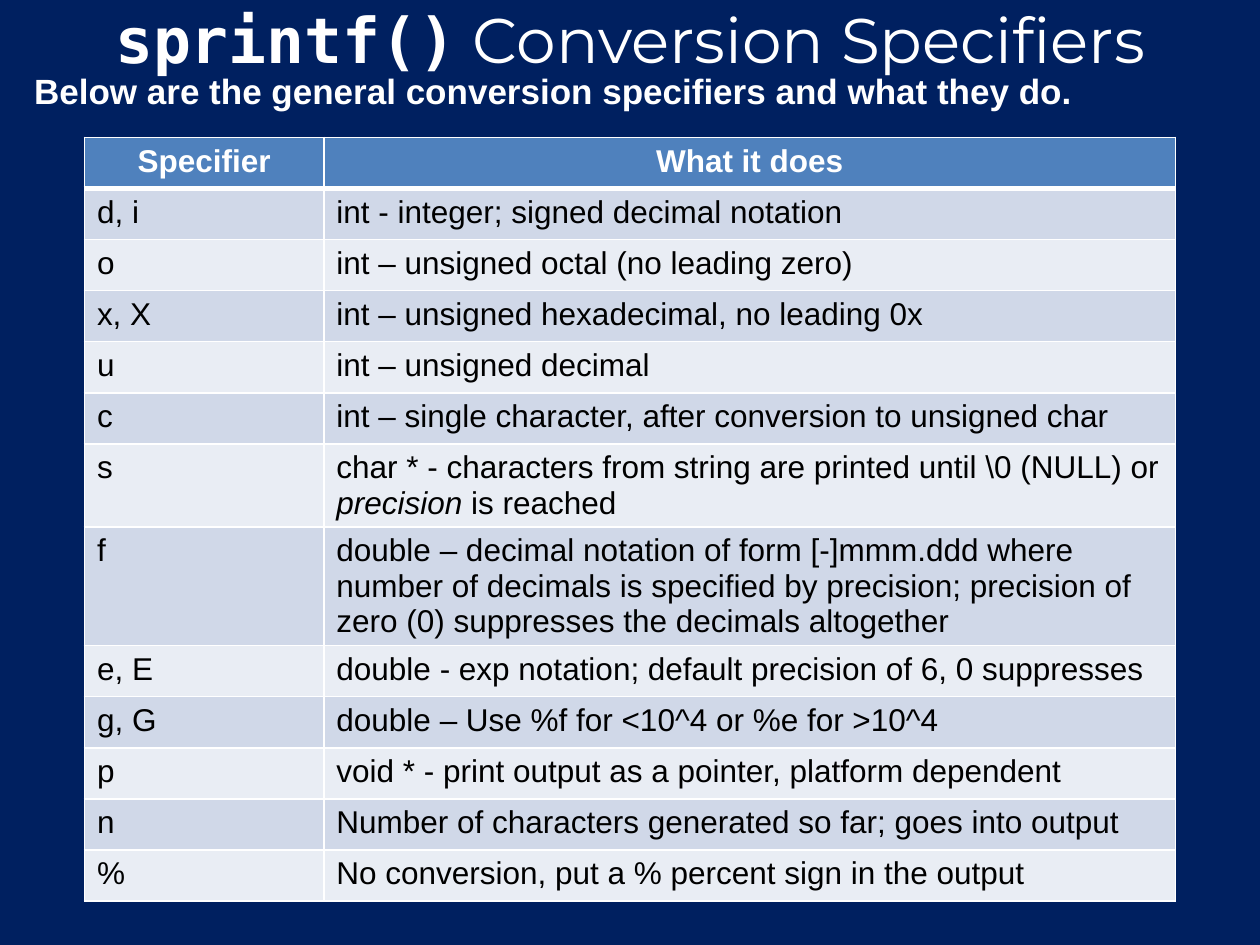
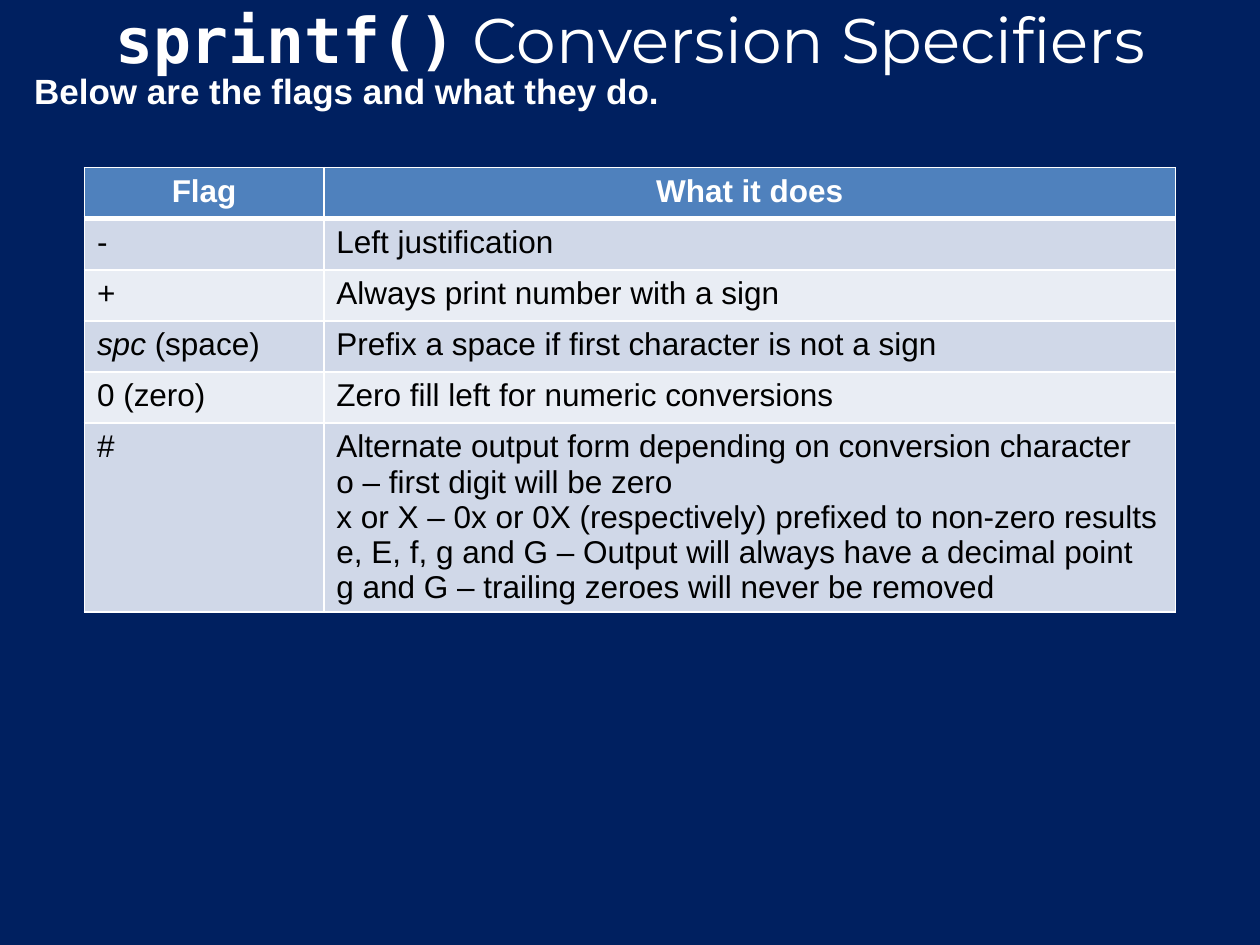
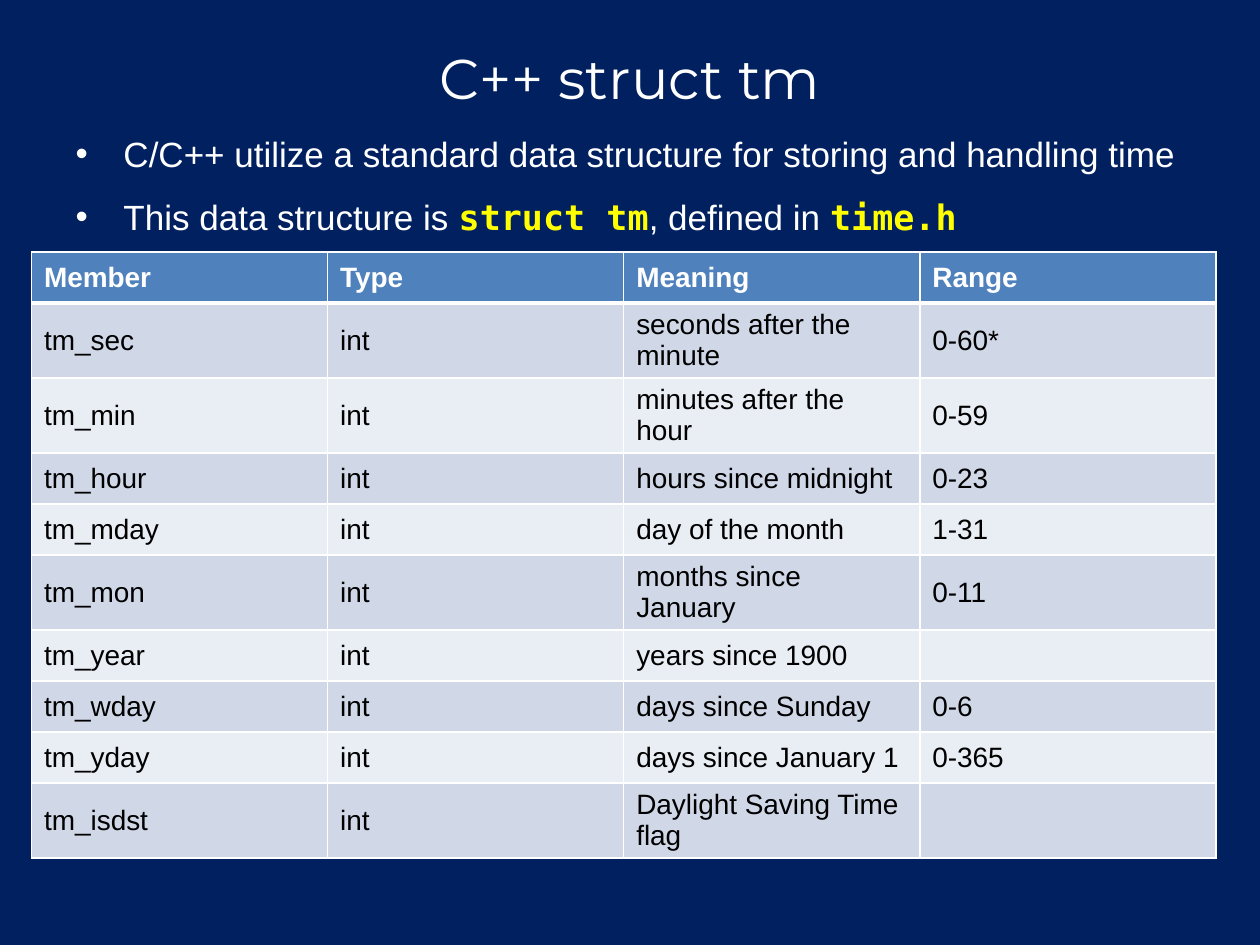
import pptx
import pptx.dml.color
import pptx.enum.text
import pptx.util
from lxml import etree
from pptx.oxml.ns import qn

Inches, Pt = pptx.util.Inches, pptx.util.Pt
ALIGN, ANCHOR = pptx.enum.text.PP_ALIGN, pptx.enum.text.MSO_ANCHOR

# Shared look
COLORS = {"navy": "002060", "white": "FFFFFF", "black": "000000",
          "yellow": "FFFF00", "header": "4F81BD",
          "band_dark": "D0D8E8", "band_light": "E9EDF4"}
HEADING, BODY, MONO = "Montserrat", "Arial", "DejaVu Sans Mono"
STYLES = {"italic": {"italic": True},
          "mono": {"font": MONO, "bold": True},
          "code": {"font": MONO, "bold": True, "color": "yellow"}}
ROW_HEIGHT = Pt(29.2)

# Content: a text is a string or a list of runs; a styled run is (text, style)
SPRINTF_TITLE = [("sprintf()", "mono"), " Conversion Specifiers"]
SPECIFIERS = [
    ("Specifier", "What it does"),
    ("d, i", "int - integer; signed decimal notation"),
    ("o", "int – unsigned octal (no leading zero)"),
    ("x, X", "int – unsigned hexadecimal, no leading 0x"),
    ("u", "int – unsigned decimal"),
    ("c", "int – single character, after conversion to unsigned char"),
    ("s", ["char * - characters from string are printed until \\0 (NULL) or ",
           ("precision", "italic"), " is reached"]),
    ("f", "double – decimal notation of form [-]mmm.ddd where number of "
          "decimals is specified by precision; precision of zero (0) "
          "suppresses the decimals altogether"),
    ("e, E", "double - exp notation; default precision of 6, 0 suppresses"),
    ("g, G", "double – Use %f for <10^4 or %e for >10^4"),
    ("p", "void * - print output as a pointer, platform dependent"),
    ("n", "Number of characters generated so far; goes into output"),
    ("%", "No conversion, put a % percent sign in the output"),
]
FLAGS = [
    ("Flag", "What it does"),
    ("-", "Left justification"),
    ("+", "Always print number with a sign"),
    ([("spc", "italic"), " (space)"],
     "Prefix a space if first character is not a sign"),
    ("0 (zero)", "Zero fill left for numeric conversions"),
    ("#", ("Alternate output form depending on conversion character",
           "o – first digit will be zero",
           "x or X – 0x or 0X (respectively) prefixed to non-zero results",
           "e, E, f, g and G – Output will always have a decimal point",
           "g and G – trailing zeroes will never be removed")),
]
TM_BULLETS = (
    "C/C++ utilize a standard data structure for storing and handling time",
    ["This data structure is ", ("struct tm", "code"), ", defined in ",
     ("time.h", "code")],
)
TM_MEMBERS = [
    ("Member", "Type", "Meaning", "Range"),
    ("tm_sec", "int", "seconds after the minute", "0-60*"),
    ("tm_min", "int", "minutes after the hour", "0-59"),
    ("tm_hour", "int", "hours since midnight", "0-23"),
    ("tm_mday", "int", "day of the month", "1-31"),
    ("tm_mon", "int", "months since January", "0-11"),
    ("tm_year", "int", "years since 1900", ""),
    ("tm_wday", "int", "days since Sunday", "0-6"),
    ("tm_yday", "int", "days since January 1", "0-365"),
    ("tm_isdst", "int", "Daylight Saving Time flag", ""),
]
SLIDES = [
    {"title": SPRINTF_TITLE, "title_box": (0.5, 0.08, 9, 0.45), "title_size": 36,
     "body": "Below are the general conversion specifiers and what they do.",
     "body_box": (0.17, 0.5, 9.5, 0.62),
     "rows": SPECIFIERS, "table_at": (0.67, 1.09), "cols": (1.9, 6.76)},
    {"title": SPRINTF_TITLE, "title_box": (0.5, 0.08, 9, 0.45), "title_size": 36,
     "body": "Below are the flags and what they do.",
     "body_box": (0.17, 0.5, 9.5, 0.62),
     "rows": FLAGS, "table_at": (0.67, 1.33), "cols": (1.9, 6.76)},
    {"title": "C++ struct tm", "title_box": (0.5, 0.3, 9, 0.62), "title_size": 32,
     "body": TM_BULLETS, "body_box": (0.5, 1, 9, 1.58), "bullets": True,
     "rows": TM_MEMBERS, "table_at": (0.25, 2), "cols": (2.35,) * 4,
     "table_size": 16, "anchor": ANCHOR.MIDDLE, "header_align": ALIGN.LEFT},
]


def rgb(name):
    return pptx.dml.color.RGBColor.from_string(COLORS[name])


def write(tf, text, align=ALIGN.LEFT, **base):
    """Fill a text frame; a tuple holds several paragraphs."""
    paragraphs = text if isinstance(text, tuple) else (text,)
    for i, runs in enumerate(paragraphs):
        p = tf.paragraphs[0] if i == 0 else tf.add_paragraph()
        p.alignment = align
        for run in [runs] if isinstance(runs, str) else runs:
            words, style = (run, None) if isinstance(run, str) else run
            fmt = {**base, **STYLES.get(style, {})}
            r = p.add_run()
            r.text = words
            r.font.name = fmt["font"]
            r.font.size = Pt(fmt["size"])
            r.font.bold = fmt.get("bold", False)
            r.font.italic = fmt.get("italic", False)
            r.font.color.rgb = rgb(fmt["color"])


def place(sp, box, anchor):
    sp.left, sp.top, sp.width, sp.height = map(Inches, box)
    tf = sp.text_frame
    tf.word_wrap = True
    tf.auto_size = pptx.enum.text.MSO_AUTO_SIZE.NONE
    tf.vertical_anchor = anchor
    return tf


def set_bullets(tf, bulleted):
    for p in tf.paragraphs:
        pPr = p._p.get_or_add_pPr()
        indent = Inches(0.38) if bulleted else 0
        pPr.set("marL", str(indent))
        pPr.set("indent", str(-indent))
        if bulleted:
            p.space_before = Pt(12)
            etree.SubElement(pPr, qn("a:buChar")).set("char", "•")
        else:
            etree.SubElement(pPr, qn("a:buNone"))


def set_borders(cell, **widths):
    tcPr = cell._tc.get_or_add_tcPr()
    for side in "LRTB":
        ln = etree.SubElement(tcPr, qn(f"a:ln{side}"))
        ln.set("w", str(Pt(widths.get(side, 1))))
        fill = etree.SubElement(ln, qn("a:solidFill"))
        etree.SubElement(fill, qn("a:srgbClr")).set("val", COLORS["white"])


def add_grid(s, rows, at, cols, size, anchor, header_align):
    left, top = map(Inches, at)
    table = s.shapes.add_table(len(rows), len(cols), left, top,
                               Inches(sum(cols)), ROW_HEIGHT * len(rows)).table
    for column, width in zip(table.columns, cols):
        column.width = Inches(width)
    for i, row in enumerate(rows):
        table.rows[i].height = ROW_HEIGHT
        header = i == 0
        band = "header" if header else "band_dark" if i % 2 else "band_light"
        # The thick rule lies between the header and the first row
        rule = {0: {"B": 3}, 1: {"T": 3}}.get(i, {})
        for j, text in enumerate(row):
            cell = table.cell(i, j)
            set_borders(cell, **rule)
            cell.fill.solid()
            cell.fill.fore_color.rgb = rgb(band)
            cell.vertical_anchor = anchor
            if text:
                write(cell.text_frame, text, font=BODY, size=size, bold=header,
                      color="white" if header else "black",
                      align=header_align if header else ALIGN.LEFT)


def add_slide(prs, spec):
    s = prs.slides.add_slide(prs.slide_layouts[1])
    s.background.fill.solid()
    s.background.fill.fore_color.rgb = rgb("navy")

    # Title
    tf = place(s.shapes.title, spec["title_box"], ANCHOR.MIDDLE)
    write(tf, spec["title"], align=ALIGN.CENTER, font=HEADING,
          size=spec["title_size"], color="white")

    # Lead sentence or bullet list
    bulleted = spec.get("bullets", False)
    tf = place(s.placeholders[1], spec["body_box"], ANCHOR.TOP)
    write(tf, spec["body"], font=BODY, size=20, color="white", bold=not bulleted)
    set_bullets(tf, bulleted)

    # Reference table
    add_grid(s, spec["rows"], spec["table_at"], spec["cols"],
             spec.get("table_size", 18), spec.get("anchor", ANCHOR.TOP),
             spec.get("header_align", ALIGN.CENTER))


def main():
    prs = pptx.Presentation()
    prs.slide_width, prs.slide_height = Inches(10), Inches(7.5)
    for spec in SLIDES:
        add_slide(prs, spec)
    prs.save("out.pptx")


if __name__ == "__main__":
    main()
